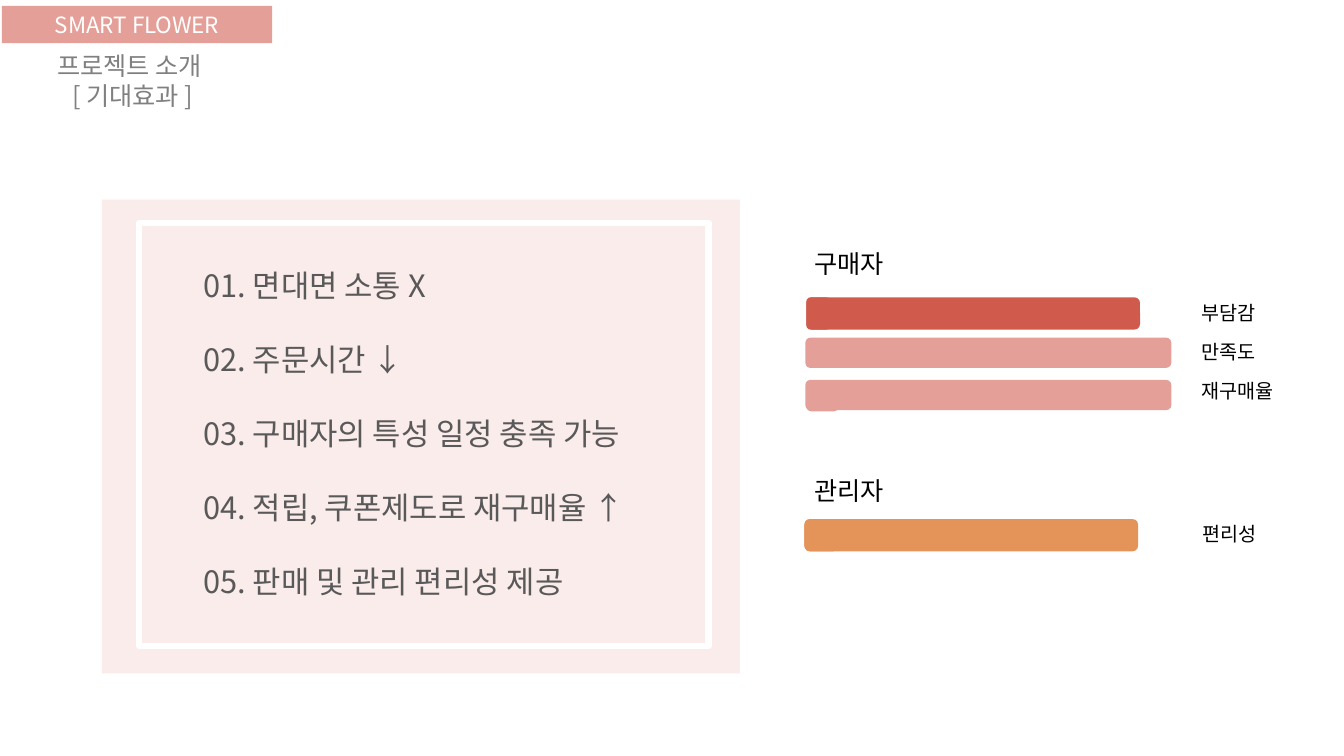
"""Build the expected-effects slide of the SMART FLOWER project introduction."""
from lxml.etree import SubElement
from pptx import Presentation
from pptx.dml.color import RGBColor
from pptx.enum.shapes import MSO_SHAPE
from pptx.enum.text import MSO_ANCHOR, PP_ALIGN
from pptx.oxml.ns import qn
from pptx.util import Pt

FONT = "Noto Sans CJK KR"
COLORS = {
    "panel": "FAECEA", "pink": "E4A098", "red": "D05B4D", "orange": "E49458",
    "white": "FFFFFF", "black": "000000", "gray": "808080", "dark": "595959",
}

prs = Presentation()
prs.slide_width, prs.slide_height = Pt(960), Pt(540)
s = prs.slides.add_slide(prs.slide_layouts[6])


def add_box(kind, box, fill=None):
    sp = s.shapes.add_shape(kind, *map(Pt, box))
    sp.shadow.inherit = False
    sp.line.fill.background()
    if fill:
        sp.fill.solid()
        sp.fill.fore_color.rgb = RGBColor.from_string(COLORS[fill])
    else:
        sp.fill.background()
    return sp


def write(sp, lines, size, color, align=PP_ALIGN.LEFT, wrap=True, gap=0):
    tf = sp.text_frame
    tf.word_wrap = wrap
    for i, line in enumerate(lines):
        p = tf.add_paragraph() if i else tf.paragraphs[0]
        p.alignment = align
        if i and gap:
            p.space_before = Pt(gap)
        r = p.add_run()
        r.text = line
        for name, value in {"name": FONT, "size": Pt(size)}.items():
            setattr(r.font, name, value)
        r.font.color.rgb = RGBColor.from_string(COLORS[color])
        SubElement(r._r.get_or_add_rPr(), qn("a:ea"), typeface=FONT)


add_box(MSO_SHAPE.RECTANGLE, (72.7, 142.6, 455.8, 338.4), "panel")

effects = ["면대면 소통 X", "주문시간 ↓", "구매자의 특성 일정 충족 가능",
           "적립, 쿠폰제도로 재구매율 ↑", "판매 및 관리 편리성 제공"]
sp = s.shapes.add_textbox(Pt(138.2), Pt(187.2), Pt(447.8), Pt(326.9))
write(sp, [f"{n:02}. {effect}" for n, effect in enumerate(effects, 1)],
      22, "dark", gap=26.4)

sp = add_box(MSO_SHAPE.RECTANGLE, (1.4, 4.3, 193, 26.6), "pink")
sp.text_frame.vertical_anchor = MSO_ANCHOR.MIDDLE
write(sp, ["SMART FLOWER"], 16, "white", PP_ALIGN.CENTER)

sp = s.shapes.add_textbox(Pt(0), Pt(32.4), Pt(189.4), Pt(56.9))
write(sp, ["프로젝트 소개 ", "[ 기대효과 ]"], 18, "gray", PP_ALIGN.CENTER)

frame = add_box(MSO_SHAPE.RECTANGLE, (99.4, 159.1, 406.8, 302.4))
frame.line.color.rgb = RGBColor.from_string(COLORS["white"])
frame.line.width = Pt(4.5)
SubElement(frame.line._get_or_add_ln(), qn("a:round"))

labels = [
    ("구매자", 574.6, 173.5, 64.8, 28.8, 18),
    ("관리자", 574.6, 336.2, 64.8, 28.8, 18),
    ("부담감", 851, 211.7, 53.3, 24.5, 14),
    ("만족도", 851, 239, 53.3, 24.5, 14),
    ("재구매율", 851, 267.1, 66.2, 24.5, 14),
    ("편리성", 851.8, 369.4, 53.3, 24.5, 14),
]
for text, x, y, w, h, size in labels:
    sp = s.shapes.add_textbox(Pt(x), Pt(y), Pt(w), Pt(h))
    write(sp, [text], size, "black", wrap=False)

bars = [
    ("pink", (575.3, 241.2, 261.4, 21.6), (576, 241.9, 23, 20.9)),
    ("pink", (575.3, 271.4, 261.4, 21.6), (576, 272.9, 23, 20.9)),
    ("orange", (574.6, 370.8, 238.3, 23), (574.6, 370.8, 24.5, 23)),
    ("red", (576, 212.4, 238.3, 23), (576, 212.4, 17.3, 23)),
]
for color, *boxes in bars:
    for box in boxes:
        add_box(MSO_SHAPE.ROUNDED_RECTANGLE, box, color)

prs.save("out.pptx")
